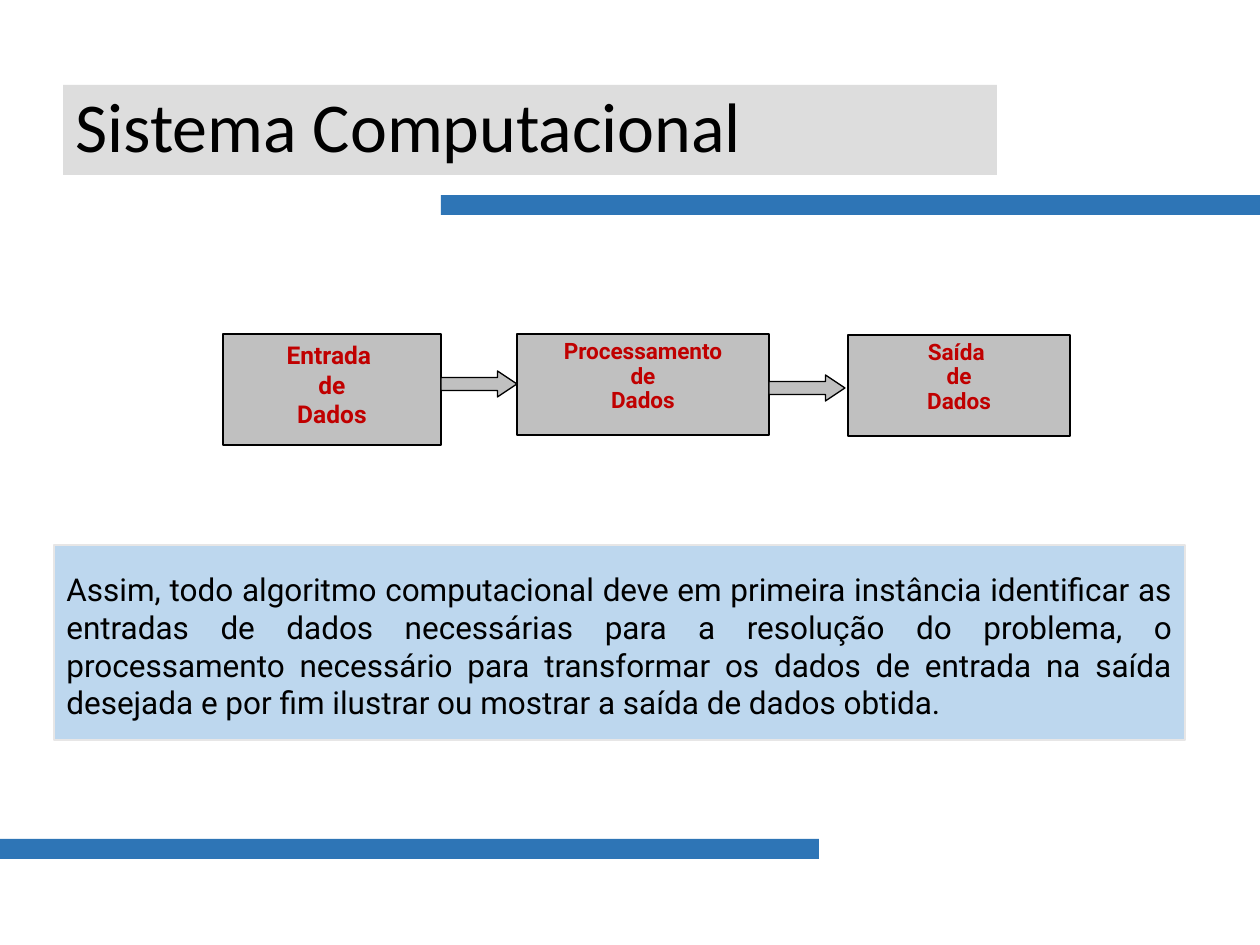
from dataclasses import dataclass

from lxml.etree import _Element
from pptx import Presentation
from pptx.dml.color import RGBColor
from pptx.enum.shapes import MSO_SHAPE
from pptx.enum.text import MSO_ANCHOR, MSO_AUTO_SIZE, PP_ALIGN
from pptx.shapes.autoshape import Shape
from pptx.slide import Slide
from pptx.text.text import TextFrame
from pptx.util import Emu, Pt

PX_PER_INCH = 126


@dataclass(frozen=True)
class Theme:
    bar: str = "2E75B6"
    title_fill: str = "DDDDDD"
    stage_fill: str = "C0C0C0"
    stage_text: str = "C00000"
    summary_fill: str = "BDD7EE"
    summary_line: str = "E7E6E6"
    ink: str = "000000"
    title_font: str = "Calibri"
    body_font: str = "Roboto"
    title_size: float = 40
    summary_size: float = 18
    line_width: float = 0.75


@dataclass(frozen=True)
class Box:
    left: int
    top: int
    width: int
    height: int


@dataclass(frozen=True)
class Stage:
    box: Box
    text: str
    size: float
    line_spacing: float


THEME = Theme()
BARS = [Box(0, 839, 819, 20), Box(441, 195, 819, 20)]
TITLE_BOX = Box(63, 85, 934, 90)
STAGES = [
    Stage(Box(223, 334, 218, 111), "Entrada \nde\nDados", 14, 1),
    Stage(Box(517, 334, 252, 101), "Processamento\nde\nDados", 12.9, 0.9),
    Stage(Box(848, 335, 222, 101), "Saída \nde\nDados", 12.9, 0.9),
]
ARROWS = [Box(441, 371, 76, 26), Box(769, 375, 76, 26)]
SUMMARY_BOX = Box(54, 545, 1131, 195)
SUMMARY = (
    "Assim, todo algoritmo computacional deve em primeira instância identificar as "
    "entradas de dados necessárias para a resolução do problema, o processamento "
    "necessário para transformar os dados de entrada na saída desejada e por fim "
    "ilustrar ou mostrar a saída de dados obtida."
)


def px(length: int) -> Emu:
    return Emu(round(length * 914400 / PX_PER_INCH))


def place(shape: Shape, box: Box) -> None:
    shape.left, shape.top = px(box.left), px(box.top)
    shape.width, shape.height = px(box.width), px(box.height)


def paint(shape: Shape, fill: str) -> None:
    shape.fill.solid()
    shape.fill.fore_color.rgb = RGBColor.from_string(fill)


def add_block(slide: Slide, kind: MSO_SHAPE, box: Box, fill: str,
              line: str | None = None) -> Shape:
    """Add a flat preset shape, without an outline unless a line colour is given."""
    block = slide.shapes.add_shape(
        kind, px(box.left), px(box.top), px(box.width), px(box.height))
    block.shadow.inherit = False
    paint(block, fill)
    if line is None:
        block.line.fill.background()
    else:
        block.line.color.rgb = RGBColor.from_string(line)
        block.line.width = Pt(THEME.line_width)
    return block


def write(frame: TextFrame, text: str, font: str, size: float, color: str,
          align: PP_ALIGN, anchor: MSO_ANCHOR, bold: bool = False,
          line_spacing: float = 1) -> None:
    frame.text = text
    frame.word_wrap = True
    frame.auto_size = MSO_AUTO_SIZE.NONE
    frame.vertical_anchor = anchor
    for paragraph in frame.paragraphs:
        paragraph.alignment = align
        paragraph.line_spacing = line_spacing
        for run in paragraph.runs:
            run.font.name = font
            run.font.size = Pt(size)
            run.font.bold = bold
            run.font.color.rgb = RGBColor.from_string(color)


def add_title(slide: Slide) -> None:
    title = slide.shapes.title
    place(title, TITLE_BOX)
    paint(title, THEME.title_fill)
    write(title.text_frame, "Sistema Computacional", THEME.title_font,
          THEME.title_size, THEME.ink, PP_ALIGN.LEFT, MSO_ANCHOR.MIDDLE,
          line_spacing=0.9)


def add_stage(slide: Slide, stage: Stage) -> None:
    block = add_block(slide, MSO_SHAPE.RECTANGLE, stage.box, THEME.stage_fill, THEME.ink)
    write(block.text_frame, stage.text, THEME.body_font, stage.size,
          THEME.stage_text, PP_ALIGN.CENTER, MSO_ANCHOR.TOP, bold=True,
          line_spacing=stage.line_spacing)


def add_arrow(slide: Slide, box: Box) -> None:
    arrow = add_block(slide, MSO_SHAPE.RIGHT_ARROW, box, THEME.stage_fill, THEME.ink)
    arrow.adjustments[0] = 0.5
    arrow.adjustments[1] = 0.75


def add_summary(slide: Slide) -> None:
    summary = add_block(slide, MSO_SHAPE.RECTANGLE, SUMMARY_BOX,
                        THEME.summary_fill, THEME.summary_line)
    write(summary.text_frame, SUMMARY, THEME.body_font, THEME.summary_size,
          THEME.ink, PP_ALIGN.JUSTIFY, MSO_ANCHOR.MIDDLE)
    summary.text_frame.margin_bottom = 0


def main() -> None:
    deck = Presentation()
    deck.slide_width, deck.slide_height = px(1260), px(945)
    slide = deck.slides.add_slide(deck.slide_layouts[5])
    for bar in BARS:
        add_block(slide, MSO_SHAPE.RECTANGLE, bar, THEME.bar)
    add_title(slide)
    for stage in STAGES:
        add_stage(slide, stage)
    for arrow in ARROWS:
        add_arrow(slide, arrow)
    add_summary(slide)
    deck.save("out.pptx")


if __name__ == "__main__":
    main()
